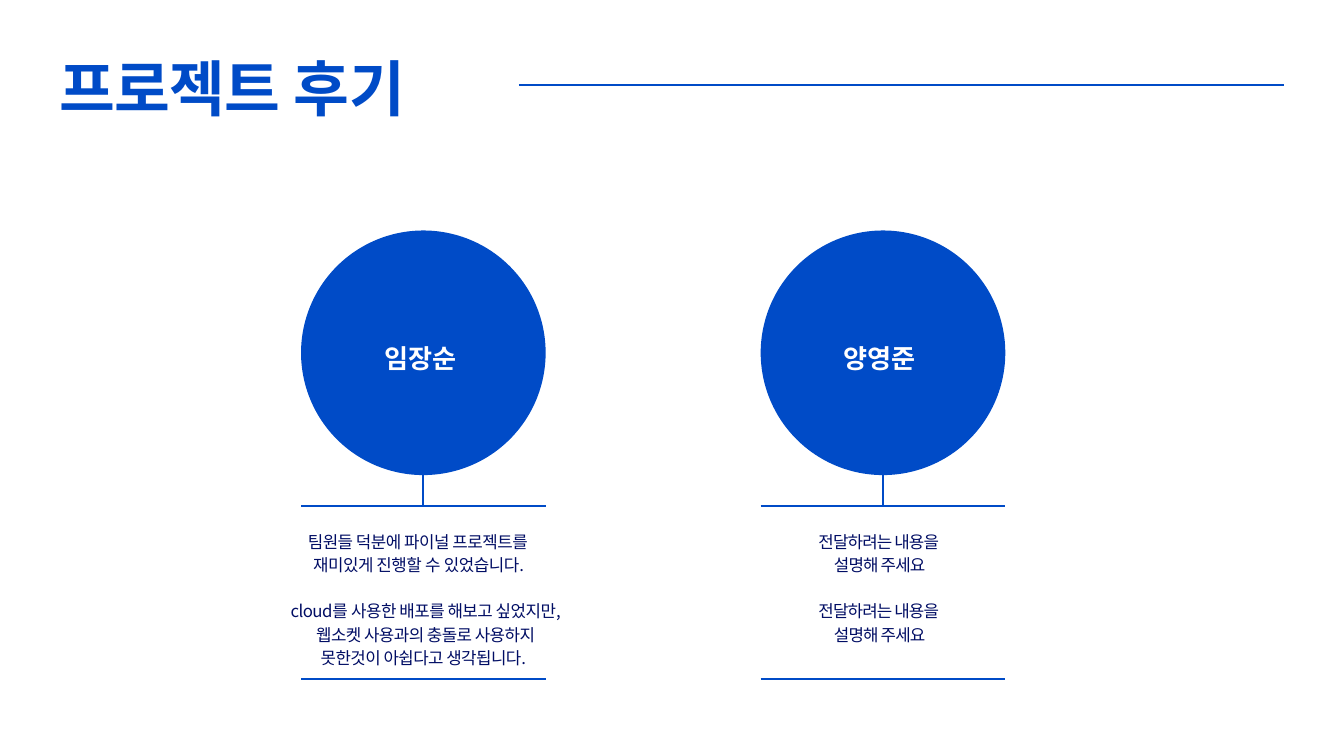
from pptx import Presentation
from pptx.dml.color import RGBColor
from pptx.enum import shapes, text
from pptx.oxml import ns, xmlchemy
from pptx.util import Inches, Pt

BLUE, NAVY, WHITE = "004BC7", "000D64", "FFFFFF"


def tint(code):
    return RGBColor.from_string(code)


class Deck:
    font = "Noto Sans CJK KR"

    def __init__(self, slide):
        self.slide = slide

    def line(self, x1, y1, x2, y2):
        rule = self.slide.shapes.add_connector(
            shapes.MSO_CONNECTOR.STRAIGHT, *map(Inches, (x1, y1, x2, y2)))
        rule.line.color.rgb = tint(BLUE)
        rule.line.width = Pt(2.25)
        rule._element.spPr.append(xmlchemy.OxmlElement("a:effectLst"))

    def disc(self, x, y, size):
        disc = self.slide.shapes.add_shape(
            shapes.MSO_SHAPE.OVAL, *map(Inches, (x, y, size, size)))
        disc.shadow.inherit = False
        disc.fill.solid()
        disc.fill.fore_color.rgb = tint(BLUE)
        disc.line.fill.background()

    def label(self, place, parts, size, color, bold=False,
              align=text.PP_ALIGN.LEFT, left=0.01, hang=0, lead=1.0):
        """Add a text box; parts are (words, letter spacing in points)."""
        frame = self.slide.shapes.add_textbox(*map(Inches, place)).text_frame
        frame.word_wrap = True
        frame.margin_left = frame.margin_right = frame.margin_bottom = 0
        frame.margin_top = Inches(0.01)
        para = frame.paragraphs[0]
        para.alignment = align
        para.line_spacing = lead
        props = para._p.get_or_add_pPr()
        props.set("marL", str(Inches(left)))
        props.set("indent", str(Inches(hang)))
        for words, gap in parts:
            run = para.add_run()
            run.text = words
            run.font.name = self.font
            run.font.size = Pt(size)
            run.font.bold = bold
            run.font.color.rgb = tint(color)
            mark = run._r.get_or_add_rPr()
            mark.set("spc", str(round(gap * 100)))
            face = xmlchemy.OxmlElement("a:ea")
            face.set("typeface", self.font)
            mark.find(ns.qn("a:latin")).addnext(face)

    def member(self, x, name):
        """Add one column: name disc, stem and the two rules."""
        size, top, bar, base = 3.64, 3.43, 7.53, 10.11
        mid = x + size / 2
        self.disc(x, top, size)
        for y in (bar, base):
            self.line(x, y, x + size, y)
        self.line(mid, top + size, mid, bar)
        self.label((x + 1.23, 5.09, 1.17, 0.49),
                   [(name[:-1], -0.1), (name[-1], 0.7)], 28, WHITE, True)

    def note(self, place, parts, **style):
        self.label(place, parts, 18, NAVY, lead=1.15, **style)


def main():
    show = Presentation()
    show.slide_width, show.slide_height = Inches(20), Inches(11.25)
    deck = Deck(show.slides.add_slide(show.slide_layouts[6]))

    deck.label((0.87, 0.74, 5.55, 1.11),
               [("프로젝트 ", -0.8), ("후기", -0.1)], 65, BLUE, True)
    deck.line(7.72, 1.27, 19.11, 1.27)

    deck.member(4.48, "임장순")
    deck.note((4.57, 7.86, 3.45, 0.72),
              [("팀원들 덕분에 파이널 프로젝트를 재미있게 진행할 ", -0.5),
               ("수 ", -0.3), ("있었습니다.", -0.5)], left=0.09, hang=-0.08)
    deck.note((4.3, 8.89, 3.99, 1.06),
              [("cloud를 ", -0.6), ("사용한 배포를 해보고 ", -0.5),
               ("싶었지만, ", -0.5),
               ("웹소켓 사용과의 충돌로 사용하지 못한것이 아쉽다고 ", -0.6),
               ("생각됩니다.", -0.6)], align=text.PP_ALIGN.CENTER)

    deck.member(11.32, "양영준")
    for y in (7.86, 8.89):
        deck.note((12.16, y, 1.96, 0.72),
                  [("전달하려는 내용을 설명해 주세요", -0.9)],
                  left=0.25, hang=-0.23)

    show.save("out.pptx")


if __name__ == "__main__":
    main()
